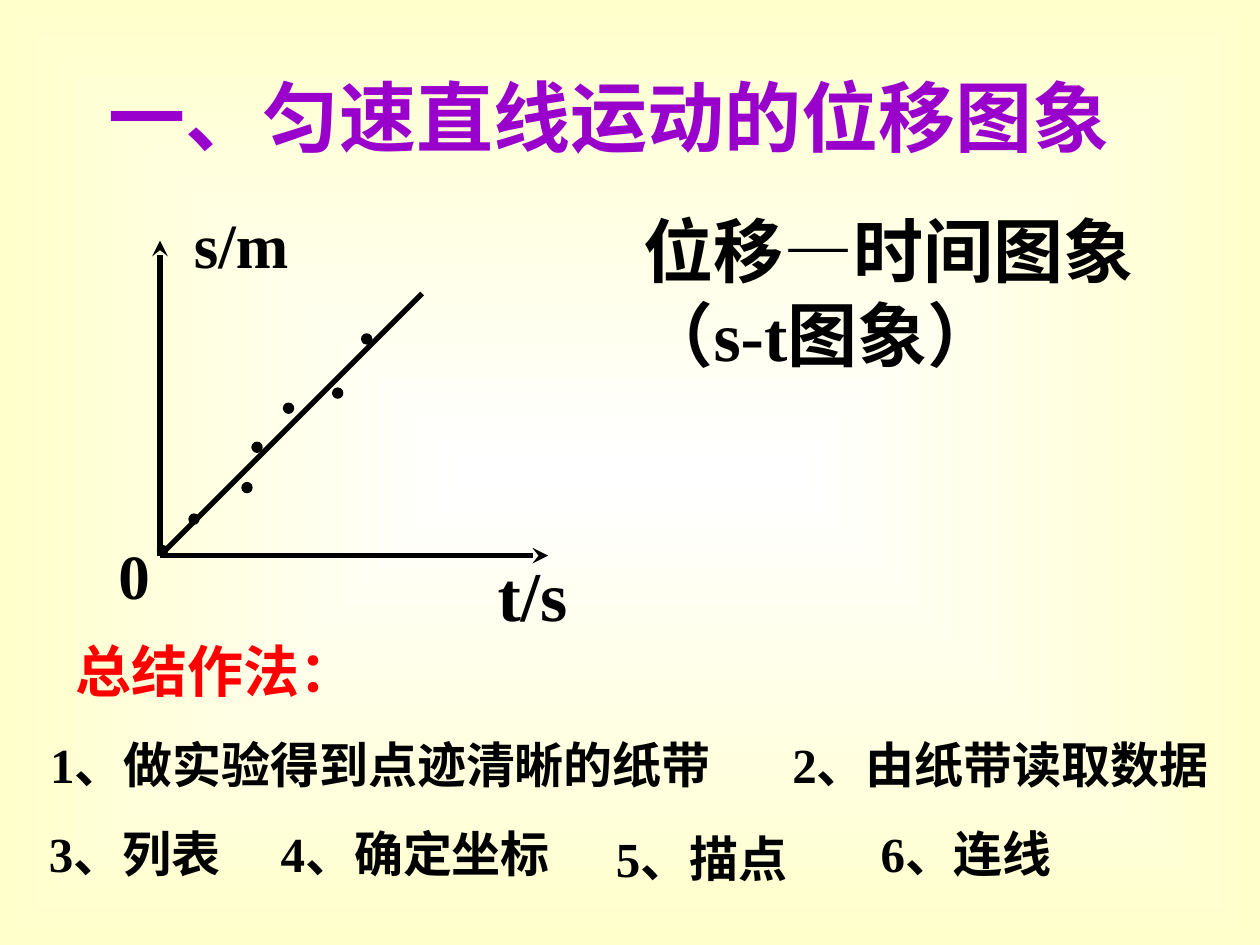
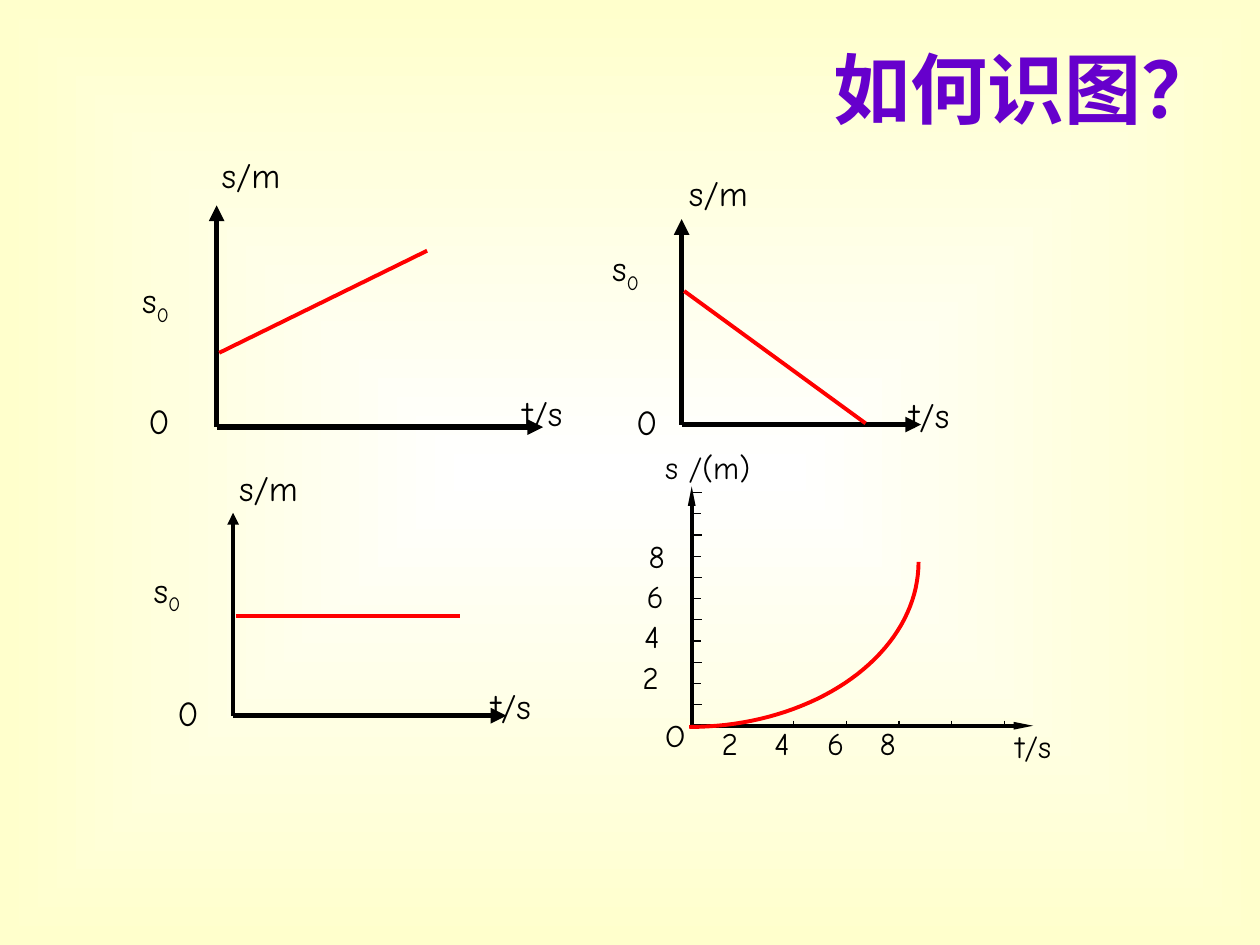
from math import cos, pi, sin

from pptx import Presentation
from pptx.dml.color import RGBColor as Rgb
from pptx.enum.shapes import MSO_CONNECTOR as Connector, MSO_SHAPE as Shape
from pptx.enum.text import MSO_AUTO_SIZE as AutoSize
from pptx.oxml import parse_xml
from pptx.oxml.ns import nsdecls, qn
from pptx.util import Inches, Pt

# Shared look
COLORS = {"ink": "000000", "red": "FF0000", "heading": "9900CC",
          "question": "6600CC", "center": "FFFFFF", "edge": "FFFFCC"}
SERIF, COMIC, CJK = "Times New Roman", "Comic Neue", "Noto Sans CJK SC"
SLIDE_SIZE = (10, 7.5)
HEADING = {"size": 44, "bold": True, "wrap": False}

# Slide 1: text, (left, top, width, height), size, colour
STATEMENTS = [
    ("位移—时间图象\n（s-t图象）", (5.01, 1.6, 4.08, 1.44), 40, "ink"),
    ("总结作法：", (0.5, 5, 2.42, 0.64), 32, "red"),
    ("t/s", (3.85, 4.33, 0.75, 0.77), 40, "ink"),
    ("s/m", (1.44, 1.58, 0.95, 0.7), 36, "ink"),
    ("0", (0.84, 4.21, 0.45, 0.7), 36, "ink"),
]
# Steps: text, left, top, width
STEPS = [
    ("1、做实验得到点迹清晰的纸带", 0.3, 5.78, 5.53),
    ("2、由纸带读取数据", 6.19, 5.78, 3.59),
    ("3、列表", 0.29, 6.49, 1.65),
    ("4、确定坐标", 2.13, 6.49, 2.43),
    ("5、描点", 4.79, 6.53, 1.65),
    ("6、连线", 6.89, 6.49, 1.65),
]
STEP_HEIGHT = 0.57
PLOT = {"origin": (1.27, 4.41), "right": 4.35, "top": 1.91, "fit_end": (3.35, 2.33)}
DOT_SIZE = 0.08
DOTS = [(1.5, 4.08), (1.92, 3.83), (2, 3.51), (2.25, 3.2),
        (2.64, 3.08), (2.87, 2.65), (1.25, 4.33)]

# Slide 2: three straight-line graphs
GRAPHS = [
    {"origin": (1.72, 3.39), "right": 4.31, "top": 1.63, "rise_width": 3,
     "line": ((1.74, 2.8), (3.39, 1.99)),
     "label_size": (1.51, 1.01), "start_size": (2.13, 1.08),
     "labels": {"t/s": (4.05, 3.06), "s/m": (1.66, 1.17), "0": (1.08, 3.12)},
     "start": (1.03, 2.16)},
    {"origin": (1.85, 5.68), "right": 4.02, "top": 4.07, "rise_width": 2.25,
     "line": ((1.87, 4.89), (3.65, 4.89)),
     "label_size": (1.26, 0.92), "start_size": (1.78, 0.99),
     "labels": {"t/s": (3.8, 5.38), "s/m": (1.8, 3.65), "0": (1.31, 5.44)},
     "start": (1.12, 4.46)},
    {"origin": (5.41, 3.37), "right": 7.31, "top": 1.74, "rise_width": 3,
     "line": ((5.43, 2.31), (6.87, 3.36)),
     "label_size": (1.1, 0.94), "start_size": (1.55, 1),
     "labels": {"t/s": (7.12, 3.07), "s/m": (5.37, 1.31), "0": (4.95, 3.13)},
     "start": (4.76, 1.91)},
]
# Slide 2: the curved graph with scales
CURVE_LABELS = [("s /(m)", (5.18, 3.51, 1.34, 0.5)), ("O", (5.18, 5.63, 0.56, 0.45)),
                ("t/s", (7.96, 5.72, 1.06, 0.45))]
CURVE_ORIGIN, CURVE_RIGHT, CURVE_TOP = (5.49, 5.76), 8.2, 3.86
CURVE_CENTER, CURVE_RADII = (5.47, 4.46), (1.82, 1.31)
SCALE = [2, 4, 6, 8]
SCALE_STEP = 2.09 / 5
NUMBER_SIZE = (0.76, 0.53)


def add_page(deck):
    page = deck.slides.add_slide(deck.slide_layouts[6])
    fill = page.background.fill
    fill.gradient()
    for index, (stop, name) in enumerate(zip(fill.gradient_stops, ("center", "edge"))):
        stop.color.rgb = Rgb.from_string(COLORS[name])
        stop.position = index
    gradient = next(page.element.iter(qn("a:gradFill")))
    gradient.replace(gradient.find(qn("a:lin")), parse_xml(
        f'<a:path {nsdecls("a")} path="rect">'
        '<a:fillToRect l="50000" t="50000" r="50000" b="50000"/></a:path>'))
    return page


def add_span(para, text, color, face, size, bold=False):
    span = para.add_run()
    span.text = text
    for name, value in {"name": face, "size": Pt(size), "bold": bold}.items():
        setattr(span.font, name, value)
    span.font.color.rgb = Rgb.from_string(COLORS[color])
    properties = span.font._element
    properties.append(parse_xml(f'<a:ea {nsdecls("a")} typeface="{CJK}"/>'))
    return properties


def add_text(page, text, place, color="ink", face=COMIC, size=20, bold=False, wrap=True):
    box = page.shapes.add_textbox(*map(Inches, place))
    frame = box.text_frame
    frame.word_wrap = wrap
    frame.auto_size = AutoSize.NONE
    for index, line in enumerate(text.split("\n")):
        para = frame.add_paragraph() if index else frame.paragraphs[0]
        add_span(para, line, color, face, size, bold)
    return frame.paragraphs[0]


def add_line(page, start, end, color="ink", width=3.0, head=None, head_size=("med", "med")):
    line = page.shapes.add_connector(Connector.STRAIGHT, *map(Inches, (*start, *end)))
    line.line.color.rgb = Rgb.from_string(COLORS[color])
    line.line.width = Pt(width)
    properties = line._element.spPr
    if head:
        wide, long = head_size
        properties.find(qn("a:ln")).append(parse_xml(
            f'<a:tailEnd {nsdecls("a")} type="{head}" w="{wide}" len="{long}"/>'))
    properties.append(parse_xml(f'<a:effectLst {nsdecls("a")}/>'))


def add_axes(page, origin, right, top, widths=(3, 3), **arrow):
    ends = (right, origin[1]), (origin[0], top)
    for end, width in zip(ends, widths):
        add_line(page, origin, end, width=width, **arrow)


def add_dot(page, left, top):
    dot = page.shapes.add_shape(Shape.OVAL, *map(Inches, (left, top, DOT_SIZE, DOT_SIZE)))
    dot.shadow.inherit = False
    dot.fill.solid()
    dot.fill.fore_color.rgb = dot.line.color.rgb = Rgb.from_string(COLORS["ink"])
    dot.line.width = Pt(0.75)


def add_quarter_curve(page, steps=40):
    angles = [pi / 2 * (1 - step / steps) for step in range(steps + 1)]
    points = [(Inches(CURVE_CENTER[0] + CURVE_RADII[0] * cos(angle)),
               Inches(CURVE_CENTER[1] + CURVE_RADII[1] * sin(angle))) for angle in angles]
    builder = page.shapes.build_freeform(*points[0])
    builder.add_line_segments(points[1:], close=False)
    curve = builder.convert_to_shape()
    curve.shadow.inherit = False
    curve.fill.background()
    curve.line.color.rgb = Rgb.from_string(COLORS["red"])
    curve.line.width = Pt(2.25)


def build_displacement_page(deck):
    page = add_page(deck)
    style = {"face": SERIF, "bold": True, "wrap": False}
    add_text(page, "一、匀速直线运动的位移图象", (0.76, 0.5, 8.15, 0.84), "heading",
             SERIF, **HEADING)
    for text, place, size, color in STATEMENTS:
        add_text(page, text, place, color, size=size, **style)
    for text, left, top, width in STEPS:
        add_text(page, text, (left, top, width, STEP_HEIGHT), size=28, **style)
    # Measured points and the fitted line
    add_axes(page, PLOT["origin"], PLOT["right"], PLOT["top"], head="stealth")
    add_line(page, PLOT["origin"], PLOT["fit_end"])
    for left, top in DOTS:
        add_dot(page, left, top)


def build_scaled_graph(page):
    add_axes(page, CURVE_ORIGIN, CURVE_RIGHT, CURVE_TOP, (2.25, 2.25),
             head="triangle", head_size=("sm", "lg"))
    for text, place in CURVE_LABELS:
        add_text(page, text, place, size=18)
    # Ticks along both axes
    for index in range(6):
        x = 5.88 + index * SCALE_STEP
        add_line(page, (x, 5.72), (x, 5.77), width=0.75)
    for index in range(12):
        x = CURVE_ORIGIN[0] + 0.01 * (index % 2)
        y = CURVE_ORIGIN[1] - index * 1.85 / 11
        add_line(page, (x, y), (x + 0.07, y), width=0.75)
    # Numbers along both axes
    for index, number in enumerate(SCALE):
        for corner in ((5 + 0.05 * index / 3, 5.17 - 0.32 * index),
                       (5.63 + SCALE_STEP * index, 5.7)):
            add_text(page, str(number), (*corner, *NUMBER_SIZE), size=18)
    add_quarter_curve(page)


def build_reading_page(deck):
    page = add_page(deck)
    for graph in GRAPHS:
        add_axes(page, graph["origin"], graph["right"], graph["top"],
                 (3, graph["rise_width"]), head="triangle")
        add_line(page, *graph["line"], color="red", width=2.25)
        for text, corner in graph["labels"].items():
            add_text(page, text, (*corner, *graph["label_size"]))
        para = add_text(page, "s", (*graph["start"], *graph["start_size"]))
        add_span(para, "0", "ink", COMIC, 20).set("baseline", "-25000")
    build_scaled_graph(page)
    add_text(page, "如何识图？", (6.52, 0.28, 3.26, 1.09), "question", CJK, **HEADING)


def main():
    deck = Presentation()
    deck.slide_width, deck.slide_height = map(Inches, SLIDE_SIZE)
    build_displacement_page(deck)
    build_reading_page(deck)
    deck.save("out.pptx")


if __name__ == "__main__":
    main()
